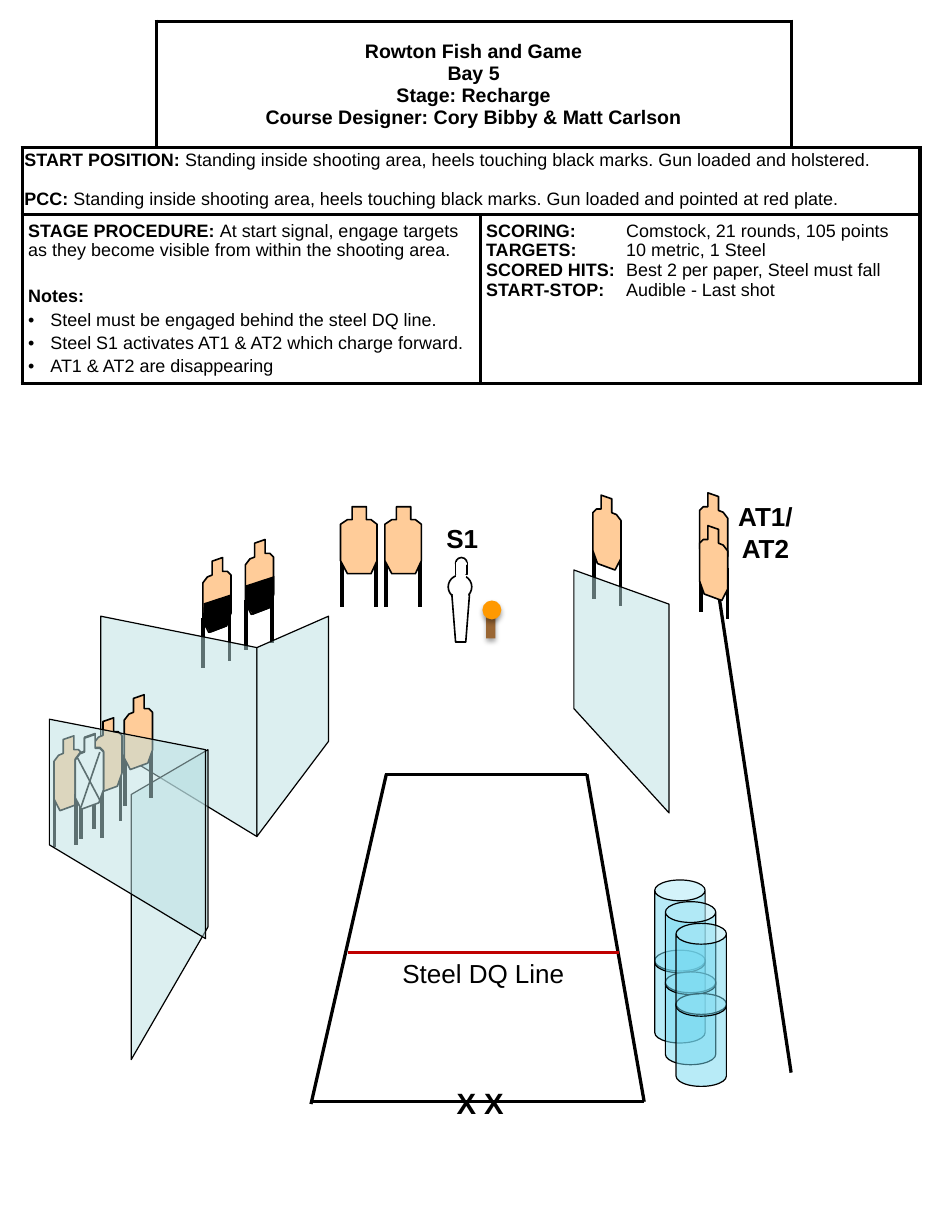
from lxml.etree import SubElement
from pptx import Presentation
from pptx.dml.color import RGBColor
from pptx.enum.shapes import MSO_CONNECTOR as Conn, MSO_SHAPE as Geo
from pptx.enum.text import MSO_ANCHOR as Anchor, PP_ALIGN as Align
from pptx.oxml.ns import qn
from pptx.util import Cm, Pt

BLACK, WHITE, TAN = "000000", "FFFFFF", "FFCC99"
GLASS, BARREL, RED = "BBE0E3", "73D9F1", "C00000"

FLAT = [(.25, 0), (.56, 0), (.56, .28), (.66, .28), (.79, .38), (.79, 1.17),
        (.66, 1.45), (.15, 1.45), (0, 1.17), (0, .38), (.15, .28), (.25, .28)]
ANGLED = [(.2, .08), (.43, 0), (.43, .3), (.53, .3), (.61, .38), (.61, 1.2),
          (.51, 1.48), (.13, 1.62), (0, 1.37), (0, .55), (.1, .42), (.2, .38)]
MIRRORED = [(.61 - x, y) for x, y in ANGLED]
HARD_COVER = [(0, 1.4), (.17, 1.63), (.53, 1.49), (.63, 1.17), (.63, .79), (.02, .99)]
FLAT_LEGS = [(.03, 1.07), (.76, 1.07)]
ANGLED_LEGS = [(.01, 1.3), (.58, 1.14)]
MIRRORED_LEGS = [(.61 - x, y) for x, y in ANGLED_LEGS]


def rgb(value):
    return RGBColor.from_string(value)


class StageSlide:
    font = "Arial"

    def __init__(self, prs):
        self.s = prs.slides.add_slide(prs.slide_layouts[6])

    def paint(self, sp, fill, width, alpha=None, color=BLACK):
        sp.shadow.inherit = False
        sp.fill.solid()
        sp.fill.fore_color.rgb = rgb(fill)
        if alpha:
            clr = sp._element.spPr.find(qn("a:solidFill"))[0]
            SubElement(clr, qn("a:alpha"), val=str(alpha * 1000))
        if width:
            sp.line.color.rgb = rgb(color)
            sp.line.width = Pt(width)
        else:
            sp.line.fill.background()
        return sp

    def shape(self, geo, x, y, w, h, fill, width=1, **kw):
        sp = self.s.shapes.add_shape(geo, Cm(x), Cm(y), Cm(w), Cm(h))
        return self.paint(sp, fill, width, **kw)

    def can(self, x, y):
        sp = self.shape(Geo.CAN, x, y, 1.09, 2.01, BARREL, .75, alpha=50)
        sp.adjustments[0] = .413

    def outline(self, points, fill, width=1, dx=0, dy=0, alpha=None):
        pts = [(Cm(x + dx), Cm(y + dy)) for x, y in points]
        fb = self.s.shapes.build_freeform(*pts[0])
        fb.add_line_segments(pts[1:], close=True)
        return self.paint(fb.convert_to_shape(), fill, width, alpha)

    def wall(self, *points):
        self.outline(points, GLASS, .75, alpha=50)

    def line(self, x1, y1, x2, y2, width=2.0, color=BLACK):
        ln = self.s.shapes.add_connector(Conn.STRAIGHT, Cm(x1), Cm(y1), Cm(x2), Cm(y2))
        ln.line.color.rgb = rgb(color)
        ln.line.width = Pt(width)
        SubElement(ln._element.spPr, qn("a:effectLst"))

    def legs(self, x, y, tops):
        for dx, dy in tops:
            self.line(x + dx, y + dy, x + dx, y + dy + 1.1, 2.25)

    def target(self, x, y, body=ANGLED, tops=ANGLED_LEGS, fill=TAN):
        self.legs(x, y, tops)
        self.outline(body, fill, 1, x, y)

    def shadow(self, sp):
        eff = sp._element.spPr.find(qn("a:effectLst"))
        sh = SubElement(eff, qn("a:outerShdw"), blurRad="39370", dist="22860",
                        dir="5400000", rotWithShape="0")
        clr = SubElement(sh, qn("a:srgbClr"), val=BLACK)
        SubElement(clr, qn("a:alpha"), val="35000")

    def text(self, tf, paragraphs, size, bullet_from=None, tab=None, **fmt):
        tf.word_wrap = True
        for i, (before, *runs) in enumerate(paragraphs):
            p = tf.paragraphs[0] if i == 0 else tf.add_paragraph()
            pPr = p._p.get_or_add_pPr()
            if bullet_from is not None and i >= bullet_from:
                pPr.set("marL", str(Cm(.48)))
                pPr.set("indent", str(-Cm(.48)))
                SubElement(pPr, qn("a:buFont"), typeface=self.font)
                SubElement(pPr, qn("a:buChar"), char="•")
            if tab:
                tabs = SubElement(pPr, qn("a:tabLst"))
                SubElement(tabs, qn("a:tab"), pos=str(Cm(tab)), algn="l")
            for name, value in {"space_before": Pt(before), **fmt}.items():
                setattr(p, name, value)
            for text, bold in runs:
                r = p.add_run()
                r.text = text
                for name, value in {"name": self.font, "size": Pt(size), "bold": bold}.items():
                    setattr(r.font, name, value)
                r.font.color.rgb = rgb(BLACK)

    def label(self, text, x, y, w, h, size=16, bold=True, align=Align.CENTER):
        tb = self.s.shapes.add_textbox(Cm(x), Cm(y), Cm(w), Cm(h))
        self.text(tb.text_frame, [(0, (text, bold))], size, alignment=align)

    def borders(self, cell, sides):
        tcPr = cell._tc.get_or_add_tcPr()
        for i, side in enumerate("LRTB"):
            ln = SubElement(tcPr, qn(f"a:ln{side}"), w=str(Pt(2.25)))
            if side in sides:
                SubElement(SubElement(ln, qn("a:solidFill")), qn("a:srgbClr"), val=BLACK)
            else:
                SubElement(ln, qn("a:noFill"))
            tcPr.insert(i, ln)

    def table(self, x, y, cols, rows, merges, open_corners):
        frame = self.s.shapes.add_table(len(rows), len(cols), Cm(x), Cm(y),
                                        Cm(sum(cols)), Cm(sum(rows)))
        t = frame.table
        t.first_row = t.horz_banding = False
        for items, attr, sizes in ((t.columns, "width", cols), (t.rows, "height", rows)):
            for item, size in zip(items, sizes):
                setattr(item, attr, Cm(size))
        for r in range(len(rows)):
            for c in range(len(cols)):
                cell = t.cell(r, c)
                cell.fill.solid()
                cell.fill.fore_color.rgb = rgb(WHITE)
                self.borders(cell, open_corners.get((r, c), "LRTB"))
                for side in ("left", "right", "top", "bottom"):
                    setattr(cell, f"margin_{side}", Cm(.13))
        for r, first, last in merges:
            t.cell(r, first).merge(t.cell(r, last))
        return t


def briefing(st):
    t = st.table(.48, .46, [2.9, 7.01, 6.73, 2.79], [2.74, 1.45, 3.66],
                 [(0, 1, 2), (1, 0, 3), (2, 0, 1), (2, 2, 3)],
                 {(0, 0): "RB", (0, 3): "LB"})
    heading, start = t.cell(0, 1), t.cell(1, 0)
    heading.vertical_anchor = Anchor.MIDDLE
    lines = ["Rowton Fish and Game", "Bay 5", "Stage: Recharge",
             "Course Designer: Cory Bibby & Matt Carlson"]
    st.text(heading.text_frame, [(0, (text, True)) for text in lines], 12,
            alignment=Align.CENTER)
    start.margin_left = start.margin_right = Cm(.05)
    start.margin_top = start.margin_bottom = Cm(.1)
    position = " Standing inside shooting area, heels touching black marks. Gun loaded and "
    st.text(start.text_frame, [
        (0, ("START POSITION:", True), (position + "holstered.", False)),
        (13, ("PCC:", True), (position + "pointed at red plate.", False)),
    ], 11, line_spacing=.9)
    st.text(t.cell(2, 0).text_frame, [
        (0, ("STAGE PROCEDURE: ", True),
         ("At start signal, engage targets as they become visible from within "
          "the shooting area.", False)),
        (16, ("Notes:", True)),
        (2, ("Steel must be engaged behind the steel DQ line.", False)),
        (2, ("Steel S1 activates AT1 & AT2 which charge forward.", False)),
        (2, ("AT1 & AT2 are disappearing", False)),
    ], 11, bullet_from=2)
    scoring = {"SCORING:": "Comstock, 21 rounds, 105 points",
               "TARGETS:": "10 metric, 1 Steel",
               "SCORED HITS:": "Best 2 per paper, Steel must fall",
               "START-STOP:": "Audible - Last shot"}
    st.text(t.cell(2, 2).text_frame,
            [(0, (k, True), ("\t" + v, False)) for k, v in scoring.items()], 11, tab=3.03)


def steel(st):
    st.shape(Geo.OVAL, 9.86, 12.07, .25, .25, WHITE)
    st.shape(Geo.OVAL, 9.7, 12.45, .51, .51, WHITE)
    st.outline([(9.78, 12.88), (10.16, 12.88), (10.08, 13.9), (9.86, 13.9)], WHITE)
    st.shape(Geo.RECTANGLE, 9.86, 12.19, .25, .25, WHITE)
    st.shape(Geo.RECTANGLE, 9.8, 12.85, .33, .05, WHITE, 0)
    st.shape(Geo.RECTANGLE, 9.88, 12.45, .18, .05, WHITE, color=WHITE)
    st.shape(Geo.RECTANGLE, 9.88, 12.19, .2, .03, WHITE, color=WHITE)
    st.shadow(st.shape(Geo.RECTANGLE, 10.52, 13.26, .2, .56, "996633", 0))
    st.shadow(st.shape(Geo.OVAL, 10.44, 13, .41, .41, "FF9900", 0))


def stage(st):
    for i in range(3):
        for drop in (1.52, 0):
            st.can(14.17 + .23 * i, 19.05 + .47 * i + drop)
    st.target(12.83, 10.72, MIRRORED, MIRRORED_LEGS)
    for x, y in ((4.39, 12.07), (5.31, 11.68)):
        st.target(x, y)
        st.outline(HARD_COVER, BLACK, 0, x, y)
    st.wall((2.18, 16.05), (5.56, 18.11), (5.56, 14.02), (2.18, 13.34))
    st.line(17.12, 23.22, 15.44, 12.12)
    steel(st)
    for x in (8.33, 7.37):
        st.target(x, 10.97, FLAT, FLAT_LEGS)
    for ends in ((6.73, 23.85, 13.94, 23.85), (6.73, 23.9, 8.36, 16.76),
                 (13.94, 23.85, 12.7, 16.76), (12.7, 16.76, 8.33, 16.76)):
        st.line(*ends)
    st.target(1.17, 15.93)
    st.wall((4.5, 20.07), (2.84, 22.94), (2.84, 17.2), (4.5, 16.23))
    st.target(2.03, 15.54)
    st.target(2.69, 15.04)
    st.wall((7.11, 16.05), (5.56, 18.11), (5.56, 14.02), (7.11, 13.34))
    st.wall((12.42, 15.34), (14.48, 17.6), (14.48, 13.08), (12.42, 12.34))
    st.label("AT1/AT2", 15.65, 10.72, 1.83, 1.63)
    st.label("S1", 9.09, 11.18, 1.83, .94)
    st.line(7.54, 20.62, 13.39, 20.62, color=RED)
    st.label("Steel DQ Line", 7.54, 20.6, 5.84, .94, bold=False)
    st.legs(15.14, 11, MIRRORED_LEGS)
    for y in (10.67, 11.38):
        st.outline(MIRRORED, TAN, 1, 15.14, y)
    st.label("X X", 9.63, 23.37, 1.75, 1.02, 18, align=Align.LEFT)
    for y in (15.88, 15.9):
        st.target(1.63, y, fill=WHITE)
    st.line(1.68, 16.41, 2.16, 17.32, 1)
    st.line(2.16, 16.28, 1.75, 17.48, 1)
    st.wall((1.07, 18.29), (4.45, 20.32), (4.45, 16.23), (1.07, 15.57))


def main():
    prs = Presentation()
    prs.slide_width, prs.slide_height = Cm(20.32), Cm(26.67)
    st = StageSlide(prs)
    briefing(st)
    stage(st)
    prs.save("out.pptx")


if __name__ == "__main__":
    main()
